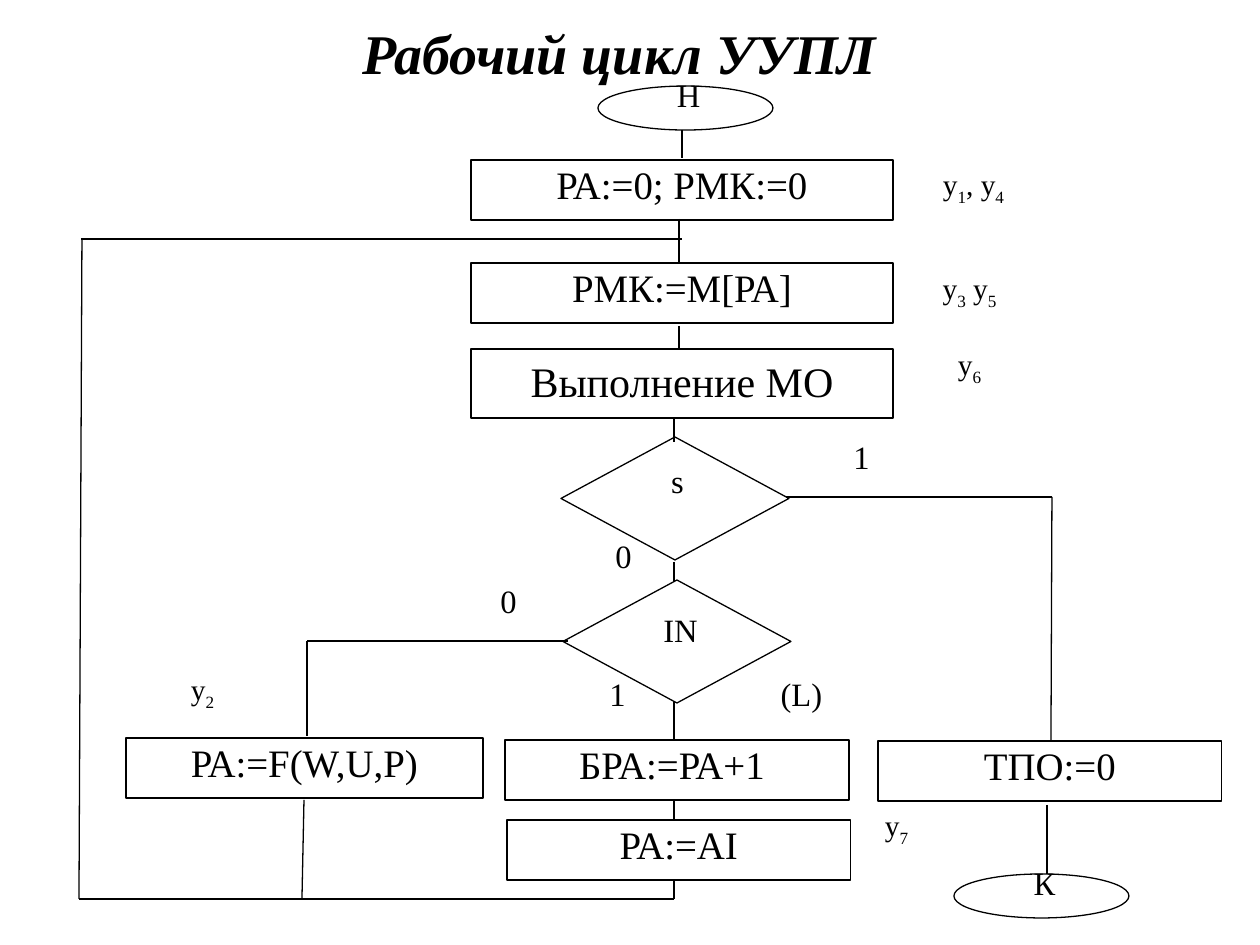
import pptx
import pptx.util
import pptx.dml.color
import pptx.enum.shapes
import pptx.enum.text
from lxml import etree
from pptx.oxml.ns import qn

PX = 914400 // 126
FONT = "Times New Roman"
COLORS = {"ink": "000000"}
KINDS = pptx.enum.shapes.MSO_SHAPE

TITLE = "Рабочий цикл УУПЛ"
BOX_H, LABEL_H = 60, 54
WIDE, NARROW = 233, 175
SIGNAL_PT, LABEL_PT, STEP_PT = 16.8, 18.6, 22.2

STEPS = [
    ("РА:=0; РМК:=0", 471, 160, 422),
    ("РМК:=M[РА]", 471, 263, 422),
    ("РА:=F(W,U,P)", 126, 738, 357),
    ("БРА:=РА+1 ", 505, 740, 344),
    ("РА:=АI", 507, 820, 344),
    ("ТПО:=0", 878, 741, 344),
]
OPERATION = ("Выполнение МО", 471, 349, 422, 69)
TERMINALS = [("Н", 598, 86), ("К", 954, 874)]
DECISIONS = [("s", 561, 437, 561, 462), ("IN", 563, 580, 564, 611)]
BRANCHES = [
    ("1", 745, 438, WIDE),
    ("0", 507, 537, WIDE),
    ("0", 392, 582, WIDE),
    ("1", 501, 675, WIDE),
    ("(L)", 714, 675, NARROW),
]
# Parts between bars alternate between normal text and subscript.
SIGNALS = [
    ("y|1|, y|4", 886, 164),
    ("y|3| y|5", 882, 268),
    ("y|6", 882, 344),
    ("y|2", 115, 669),
    ("y|7", 809, 805),
]
LINKS = [
    (682, 130, 682, 158),
    (679, 219, 679, 264),
    (679, 326, 679, 349),
    (674, 418, 674, 442),
    (674, 562, 674, 582),
    (674, 701, 674, 741),
    (674, 800, 674, 820),
    (674, 880, 674, 899),
    (786, 497, 1052, 497),
    (1052, 497, 1051, 741),
    (1047, 805, 1047, 874),
    (568, 641, 307, 641),
    (307, 641, 307, 736),
    (304, 800, 302, 899),
    (674, 899, 79, 899),
    (79, 899, 82, 239),
    (81, 239, 682, 239),
]

deck = pptx.Presentation()
deck.slide_width, deck.slide_height = 1260 * PX, 945 * PX
slide = deck.slides.add_slide(deck.slide_layouts[6])
ink = pptx.dml.color.RGBColor.from_string(COLORS["ink"])


def write(holder, text, size, spacing=1.0, bold=False, italic=False, middle=False):
    frame = holder.text_frame
    frame.word_wrap = True
    anchors = pptx.enum.text.MSO_ANCHOR
    frame.vertical_anchor = anchors.MIDDLE if middle else anchors.TOP
    paragraph = frame.paragraphs[0]
    paragraph.alignment = pptx.enum.text.PP_ALIGN.CENTER
    paragraph.line_spacing = spacing
    for index, part in enumerate(text.split("|")):
        run = paragraph.add_run()
        run.text = part
        run.font.name = FONT
        run.font.size = pptx.util.Pt(size)
        run.font.bold, run.font.italic = bold, italic
        run.font.color.rgb = ink
        if index % 2:
            run._r.get_or_add_rPr().set("baseline", "-25000")


def label(text, left, top, width, height=LABEL_H, size=LABEL_PT, spacing=0.8, **style):
    box = slide.shapes.add_textbox(left * PX, top * PX, width * PX, height * PX)
    write(box, text, size, spacing, **style)


def outline(kind, left, top, width, height):
    shape = slide.shapes.add_shape(kind, left * PX, top * PX, width * PX, height * PX)
    shape.shadow.inherit = False
    shape.fill.background()
    shape.line.color.rgb = ink
    shape.line.width = pptx.util.Pt(0.75)
    return shape


def link(*ends):
    line = slide.shapes.add_connector(
        pptx.enum.shapes.MSO_CONNECTOR.STRAIGHT, *(end * PX for end in ends))
    line.line.color.rgb = ink
    line.line.width = pptx.util.Pt(0.75)
    etree.SubElement(line._element.spPr, qn("a:effectLst"))


label(TITLE, 42, 10, 1155, 84, size=32, spacing=1.0, bold=True, italic=True, middle=True)

for text, left, top, width in STEPS:
    write(outline(KINDS.RECTANGLE, left, top, width, BOX_H), text, STEP_PT, 0.9)
write(outline(KINDS.RECTANGLE, *OPERATION[1:]), OPERATION[0], 24)

for text, left, top in TERMINALS:
    outline(KINDS.OVAL, left, top, 175, 44)
    label(text, left - 26, top - 10, WIDE)

for text, left, top, text_left, text_top in DECISIONS:
    outline(KINDS.DIAMOND, left, top, 228, 123)
    label(text, text_left, text_top, WIDE)

for text, left, top, width in BRANCHES:
    label(text, left, top, width)

for text, left, top in SIGNALS:
    label(text, left, top, NARROW, size=SIGNAL_PT)

for ends in LINKS:
    link(*ends)

deck.save("out.pptx")
